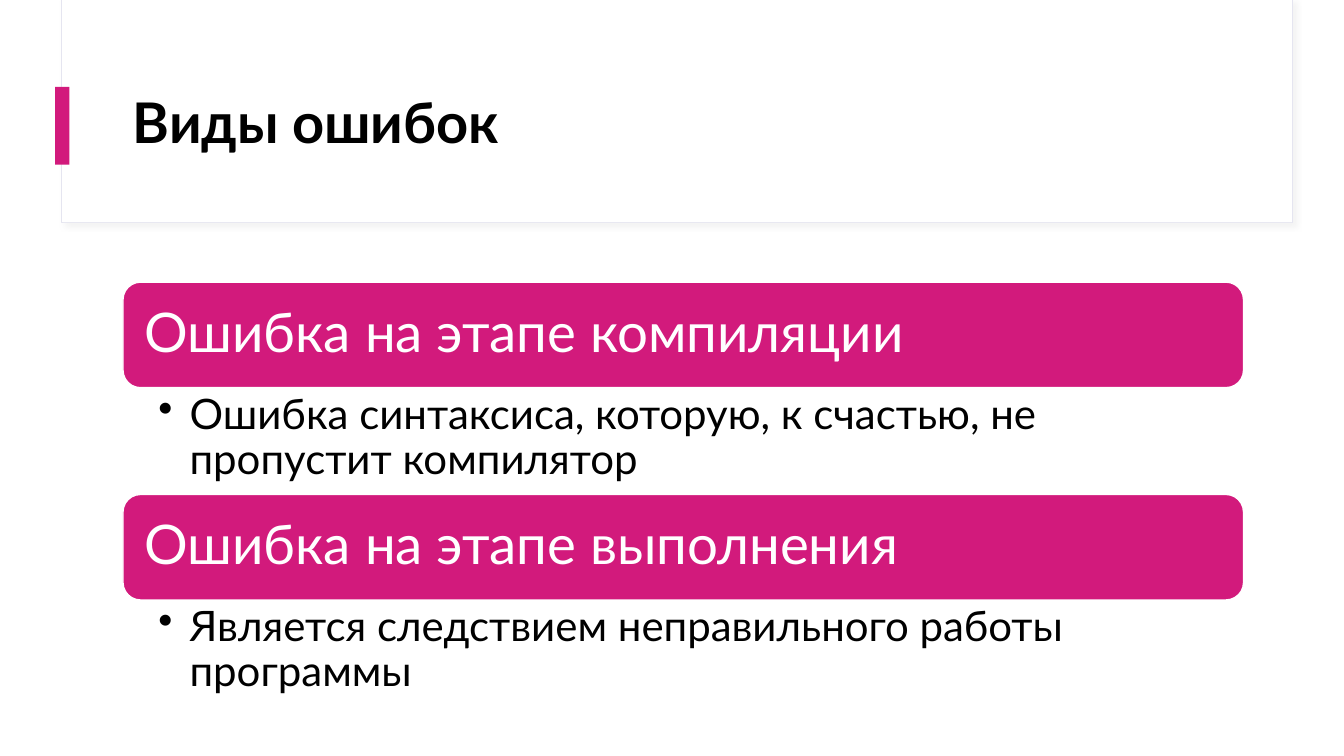
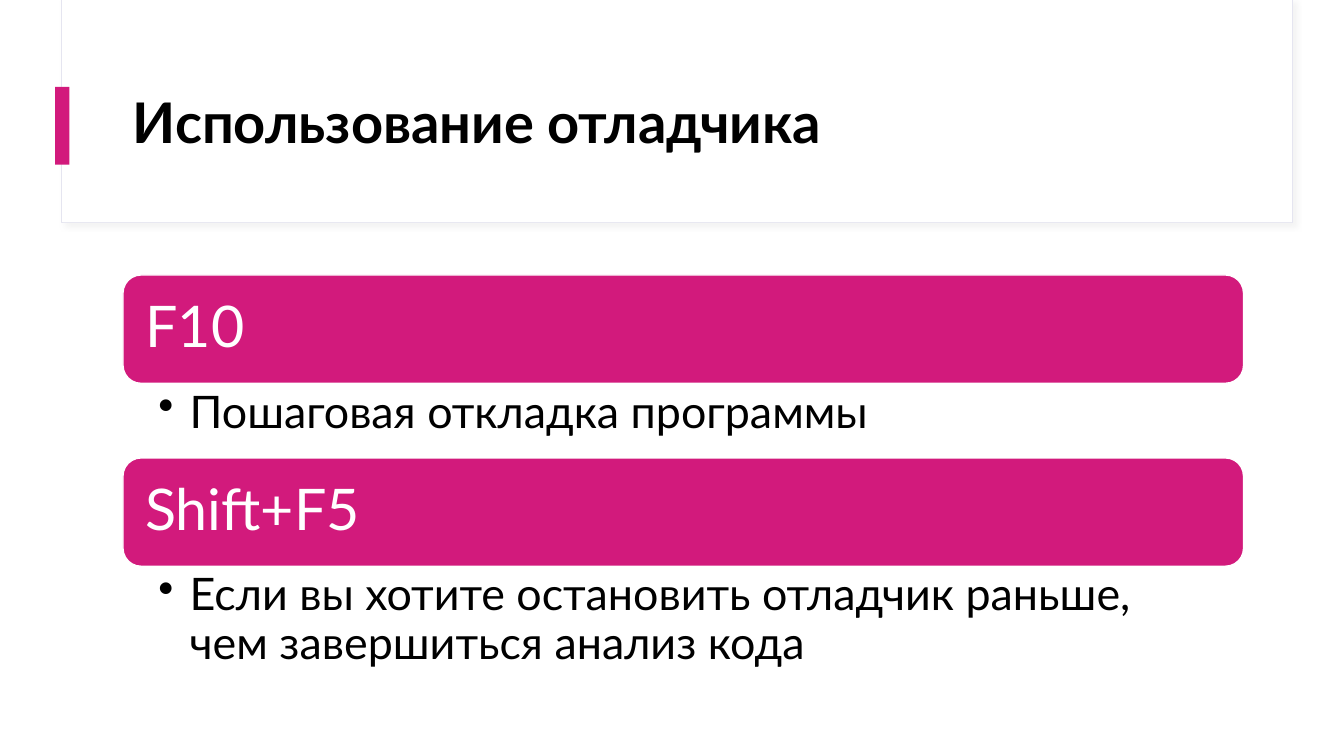
from dataclasses import dataclass

from lxml import etree
from pptx import Presentation
from pptx.dml.color import RGBColor
from pptx.enum import shapes, text
from pptx.oxml import parse_xml
from pptx.oxml.ns import nsdecls
from pptx.util import Cm, Pt


@dataclass(frozen=True)
class Theme:
    font: str = "Lato"
    accent: RGBColor = RGBColor(0xD2, 0x1A, 0x7C)
    white: RGBColor = RGBColor(0xFF, 0xFF, 0xFF)
    black: RGBColor = RGBColor(0, 0, 0)
    frame: RGBColor = RGBColor(0xE5, 0xE5, 0xF0)
    title_size: int = 40


theme = Theme()
LEFT, WIDTH = 3.1, 28.24
BULLET_INDENT = Cm(0.79)
FRAME_SHADOW = (
    f'<a:effectLst {nsdecls("a")}>'
    f'<a:outerShdw blurRad="{Pt(4)}" dist="{Pt(3)}" dir="2700000" algn="tl" rotWithShape="0">'
    '<a:srgbClr val="D9D9D9"><a:alpha val="30000"/></a:srgbClr>'
    "</a:outerShdw></a:effectLst>"
)

# Lengths are in centimetres; each item is heading, detail, height of the detail.
slides = [
    {
        "title": "Виды ошибок",
        "top": 7.11, "bar": 2.66, "heading_size": 39, "detail_size": 30,
        "inset": 0.41, "detail_insets": (0.89, 0.13, 0.76, 0.13),
        "items": [
            ("Ошибка на этапе компиляции",
             "Ошибка синтаксиса, которую, к счастью, не пропустит компилятор", 2.69),
            ("Ошибка на этапе выполнения",
             "Является следствием неправильного работы программы", 1.8),
        ],
    },
    {
        "title": "Использование отладчика",
        "top": 6.93, "bar": 2.73, "heading_size": 41, "detail_size": 32,
        "inset": 0.43, "detail_insets": (0.89, 0.15, 0.81, 0.15),
        "items": [
            ("F10", "Пошаговая откладка программы", 1.88),
            ("Shift+F5",
             "Если вы хотите остановить отладчик раньше, чем завершиться анализ кода", 2.82),
        ],
    },
]


def add_block(page, kind, left, top, width, height, fill, line=None, line_width=1):
    block = page.shapes.add_shape(kind, Cm(left), Cm(top), Cm(width), Cm(height))
    block.shadow.inherit = False
    block.fill.solid()
    block.fill.fore_color.rgb = fill
    if line is None:
        block.line.fill.background()
    else:
        block.line.color.rgb = line
        block.line.width = Pt(line_width)
    return block


def write(box, words, size, color, insets, anchor, bold=False):
    """Fill the box with one left-aligned paragraph and return that paragraph."""
    frame = box.text_frame
    frame.text = words
    frame.word_wrap = True
    frame.vertical_anchor = anchor
    frame.margin_left, frame.margin_top, frame.margin_right, frame.margin_bottom = map(Cm, insets)
    para = frame.paragraphs[0]
    para.alignment = text.PP_ALIGN.LEFT
    para.line_spacing = 0.9
    font = para.runs[0].font
    font.name, font.size, font.bold = theme.font, Pt(size), bold
    font.color.rgb = color
    return para


deck = Presentation()
deck.slide_width, deck.slide_height = Cm(33.87), Cm(19.05)
rectangle = shapes.MSO_SHAPE.RECTANGLE
rounded = shapes.MSO_SHAPE.ROUNDED_RECTANGLE
middle, upper = text.MSO_ANCHOR.MIDDLE, text.MSO_ANCHOR.TOP

for content in slides:
    page = deck.slides.add_slide(deck.slide_layouts[6])

    header = add_block(page, rectangle, 1.56, 0, 31.01, 5.62, theme.white, theme.frame, 0.75)
    properties = header._element.spPr
    properties.replace(properties.find("{*}effectLst"), parse_xml(FRAME_SHADOW))
    add_block(page, rectangle, 1.58, 0, 30.98, 5.6, theme.white)
    add_block(page, rectangle, 1.39, 2.19, 0.36, 1.96, theme.accent)

    title = page.shapes.add_textbox(Cm(LEFT), Cm(1.53), Cm(WIDTH), Cm(3.28))
    write(title, content["title"], theme.title_size, theme.black,
          (0.25, 0.13, 0.25, 0.13), middle, bold=True)

    top = content["top"]
    for heading, detail, detail_height in content["items"]:
        bar = add_block(page, rounded, LEFT, top, WIDTH, content["bar"], theme.accent, theme.white)
        write(bar, heading, content["heading_size"], theme.white, [content["inset"]] * 4, middle)
        top += content["bar"]

        box = page.shapes.add_textbox(Cm(LEFT), Cm(top), Cm(WIDTH), Cm(detail_height))
        para = write(box, detail, content["detail_size"], theme.black,
                     content["detail_insets"], upper)
        paragraph_properties = para._p.get_or_add_pPr()
        paragraph_properties.set("marL", str(BULLET_INDENT))
        paragraph_properties.set("indent", str(-BULLET_INDENT))
        namespace = paragraph_properties.nsmap["a"]
        etree.SubElement(paragraph_properties, f"{{{namespace}}}buChar", char="•")
        top += detail_height

deck.save("out.pptx")
